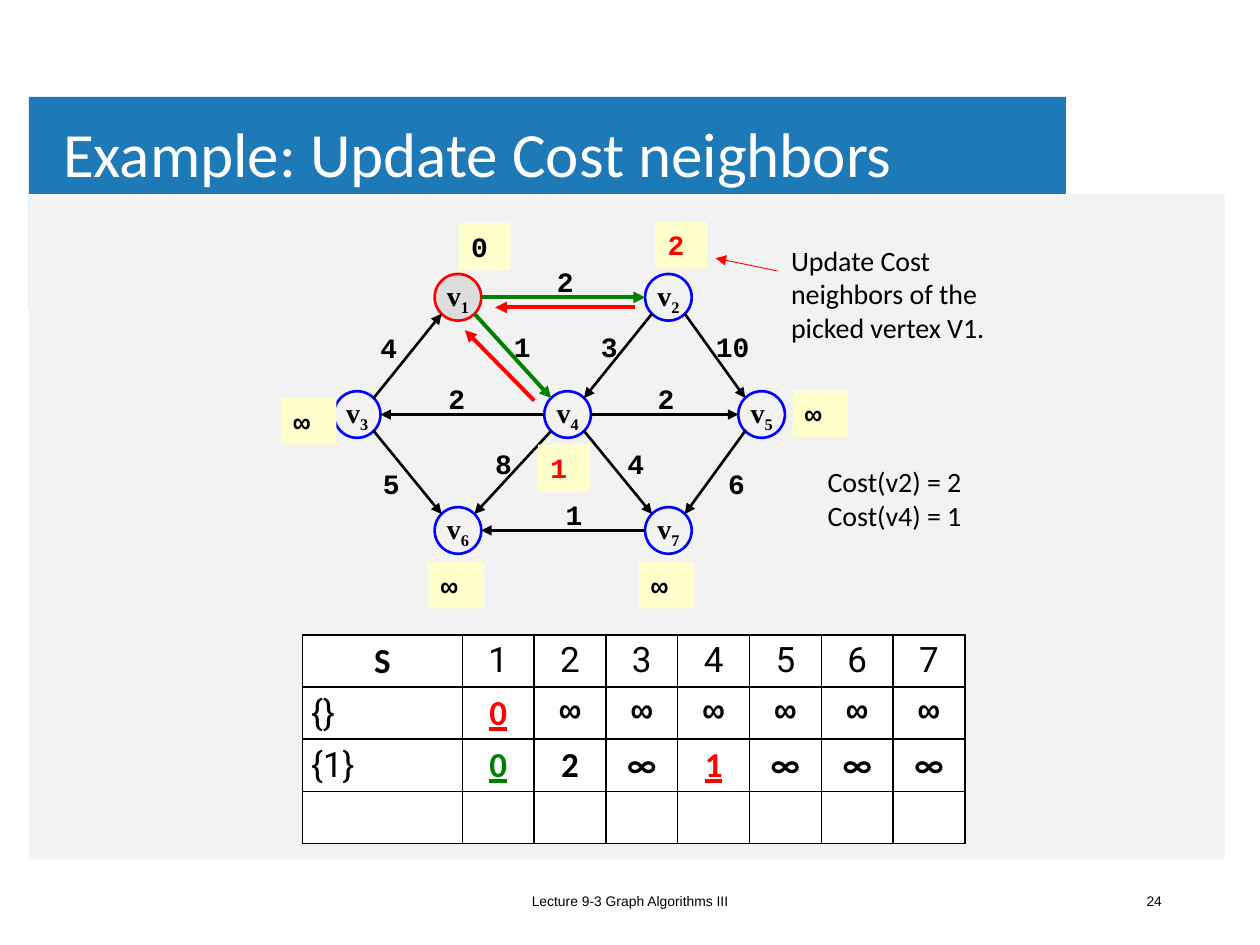
import pptx
import pptx.util
import pptx.dml.color
import pptx.enum.shapes
import pptx.enum.text
import pptx.oxml
import pptx.oxml.ns
from pptx.util import Inches

RGBColor = pptx.dml.color.RGBColor
BLACK = RGBColor(0x00, 0x00, 0x00)
WHITE = RGBColor(0xFF, 0xFF, 0xFF)
RED = RGBColor(0xFF, 0x00, 0x00)
GREEN = RGBColor(0x00, 0x80, 0x00)
BLUE = RGBColor(0x00, 0x00, 0xFF)
BANNER_BLUE = RGBColor(0x1E, 0x7A, 0xB6)
PANEL_GREY = RGBColor(0xF2, 0xF2, 0xF2)
PICKED_GREY = RGBColor(0xDD, 0xDD, 0xDD)
COST_YELLOW = RGBColor(0xFF, 0xFF, 0xCC)

MSO_SHAPE = pptx.enum.shapes.MSO_SHAPE
ANCHOR = pptx.enum.text.MSO_ANCHOR
ALIGN = pptx.enum.text.PP_ALIGN
LEFT, CENTER, RIGHT = ALIGN.LEFT, ALIGN.CENTER, ALIGN.RIGHT
NS = pptx.oxml.ns.nsdecls("a")

prs = pptx.Presentation()
prs.slide_width, prs.slide_height = Inches(10), Inches(7.5)
slide = prs.slides.add_slide(prs.slide_layouts[5])
shapes = slide.shapes


def write(frame, text, font, size, color=BLACK, bold=False, align=LEFT, anchor=ANCHOR.TOP):
    """Fill a text frame; each line of the text is a paragraph."""
    frame.word_wrap = True
    frame.vertical_anchor = anchor
    frame.text = text
    for paragraph in frame.paragraphs:
        paragraph.alignment = align
        paragraph.font.name = font
        paragraph.font.size = pptx.util.Pt(size)
        paragraph.font.bold = bold
        paragraph.font.color.rgb = color


def add_arrow(x1, y1, x2, y2, color, width):
    """Straight line with an arrowhead at its end."""
    arrow = shapes.add_connector(pptx.enum.shapes.MSO_CONNECTOR.STRAIGHT,
                                 Inches(x1), Inches(y1), Inches(x2), Inches(y2))
    arrow.line.color.rgb = color
    arrow.line.width = pptx.util.Pt(width)
    arrow.line._get_or_add_ln().append(
        pptx.oxml.parse_xml(f'<a:tailEnd {NS} type="triangle"/>'))
    arrow._element.spPr.append(pptx.oxml.parse_xml(f"<a:effectLst {NS}/>"))


# Title, with the banner and the content panel behind it
title = shapes.title
title.left, title.top, title.width, title.height = map(Inches, (0.43, 0.76, 8.03, 0.98))
title_frame = title.text_frame
write(title_frame, "Example: Update Cost neighbors", "Calibri", 36, WHITE, anchor=ANCHOR.MIDDLE)
title_frame.auto_size = pptx.enum.text.MSO_AUTO_SIZE.NONE
title_frame.margin_left = title_frame.margin_right = Inches(0.07)
title_frame.margin_top = title_frame.margin_bottom = Inches(0.04)
title_frame.paragraphs[0].line_spacing = 0.9

for box, color in [((0.23, 0.77, 8.23, 1.67), BANNER_BLUE),
                   ((0.23, 1.54, 9.49, 5.28), PANEL_GREY)]:
    panel = shapes.add_shape(MSO_SHAPE.RECTANGLE, *map(Inches, box))
    panel.shadow.inherit = False
    panel.fill.solid()
    panel.fill.fore_color.rgb = color
    panel.line.fill.background()
    title._element.addprevious(panel._element)

# Footer and slide number
for left, width, text, align in [(3.31, 3.38, "Lecture 9-3 Graph Algorithms III", CENTER),
                                 (7.07, 2.25, "24", RIGHT)]:
    footer = shapes.add_textbox(Inches(left), Inches(6.95), Inches(width), Inches(0.4))
    write(footer.text_frame, text, "Arial", 7.9, align=align, anchor=ANCHOR.MIDDLE)

# Graph vertices, by centre
DIAMETER = 0.37
vertices = {1: (3.635, 2.36), 2: (5.305, 2.36), 3: (2.835, 3.29), 4: (4.505, 3.29),
            5: (6.045, 3.29), 6: (3.635, 4.21), 7: (5.305, 4.21)}
for number, (x, y) in vertices.items():
    vertex = shapes.add_shape(MSO_SHAPE.OVAL, Inches(x - DIAMETER / 2), Inches(y - DIAMETER / 2),
                              Inches(DIAMETER), Inches(DIAMETER))
    vertex.shadow.inherit = False
    if number == 1:
        vertex.fill.solid()
        vertex.fill.fore_color.rgb = PICKED_GREY
    else:
        vertex.fill.background()
    vertex.line.color.rgb = RED if number == 1 else BLUE
    vertex.line.width = pptx.util.Pt(1.5)
    write(vertex.text_frame, "v", "Times New Roman", 16, bold=True,
          align=CENTER, anchor=ANCHOR.MIDDLE)
    vertex.text_frame.word_wrap = False
    subscript = vertex.text_frame.paragraphs[0].add_run()
    subscript.text = str(number)
    subscript.font._element.set("baseline", "-25000")

# Edges: start, end, weight, left and top of the weight
edges = [(1, 2, 2, 4.29, 2.05), (1, 4, 1, 3.95, 2.56), (2, 4, 3, 4.64, 2.56),
         (2, 5, 10, 5.55, 2.56), (3, 1, 4, 2.89, 2.57), (3, 6, 5, 2.91, 3.65),
         (4, 3, 2, 3.43, 2.98), (4, 5, 2, 5.09, 2.98), (4, 6, 8, 3.8, 3.49),
         (4, 7, 4, 4.85, 3.49), (5, 7, 6, 5.65, 3.65), (7, 6, 1, 4.36, 3.9)]
for start, end, weight, left, top in edges:
    (x1, y1), (x2, y2) = vertices[start], vertices[end]
    # Level edges touch the side of a circle, the others its 45-degree point
    dx, dy = (DIAMETER / 2, 0) if y1 == y2 else (0.13, 0.13)
    dx = dx if x2 > x1 else -dx
    dy = dy if y2 > y1 else -dy
    color, line_width = (GREEN, 2.25) if start == 1 else (BLACK, 1.5)
    add_arrow(x1 + dx, y1 + dy, x2 - dx, y2 - dy, color, line_width)
    label = shapes.add_textbox(Inches(left), Inches(top),
                               Inches(0.53 if weight > 9 else 0.39), Inches(0.37))
    write(label.text_frame, str(weight), "Courier New", 16, bold=True,
          align=CENTER, anchor=ANCHOR.MIDDLE)

# Cost of each vertex
for left, top, cost, color in [(3.64, 1.77, "0", BLACK), (5.2, 1.76, "2", RED),
                               (2.23, 3.16, "∞", BLACK), (4.27, 3.53, "1", RED),
                               (6.29, 3.1, "∞", BLACK), (3.4, 4.46, "∞", BLACK),
                               (5.07, 4.46, "∞", BLACK)]:
    cost_box = shapes.add_textbox(Inches(left), Inches(top),
                                  Inches(0.44 if cost == "∞" else 0.41), Inches(0.37))
    cost_box.fill.solid()
    cost_box.fill.fore_color.rgb = COST_YELLOW
    write(cost_box.text_frame, cost, "Courier New", 16, color, bold=True)

# Back pointers and the pointer from the note
add_arrow(4.24, 3.18, 3.69, 2.62, RED, 2.25)
add_arrow(5.04, 2.44, 3.93, 2.44, RED, 2.25)
add_arrow(6.17, 2.15, 5.68, 2.05, RED, 0.5)

# Notes beside the graph
for box, text in [((6.18, 1.88, 2.24, 0.91), "Update Cost neighbors of the picked vertex V1."),
                  ((6.47, 3.64, 1.64, 0.64), "Cost(v2) = 2\nCost(v4) = 1")]:
    remark = shapes.add_textbox(*map(Inches, box))
    write(remark.text_frame, text, "Calibri", 16)

# Cost table
rows = [["S", "1", "2", "3", "4", "5", "6", "7"],
        ["{}", "0"] + ["∞"] * 6,
        ["{1}", "0", "2", "∞", "1", "∞", "∞", "∞"],
        [""] * 8]
marked = {(1, 1): RED, (2, 1): GREEN, (2, 4): RED}
cost_table = shapes.add_table(4, 8, Inches(2.4), Inches(5.04), Inches(5.26), Inches(1.64)).table
for c, column in enumerate(cost_table.columns):
    column.width = Inches(0.57 if c else 1.27)
for r, values in enumerate(rows):
    cost_table.rows[r].height = Inches(0.41)
    for c, value in enumerate(values):
        cell = cost_table.cell(r, c)
        for side in ("lnL", "lnR", "lnT", "lnB"):
            cell._tc.get_or_add_tcPr().append(pptx.oxml.parse_xml(
                f'<a:{side} {NS} w="12700"><a:solidFill><a:srgbClr val="{BLACK}"/>'
                f"</a:solidFill></a:{side}>"))
        cell.fill.solid()
        cell.fill.fore_color.rgb = WHITE
        cell.margin_left = cell.margin_right = Inches(0.07)
        cell.margin_top = cell.margin_bottom = Inches(0.04)
        cell.vertical_anchor = ANCHOR.MIDDLE if r else ANCHOR.TOP
        cell.text = value
        entry = cell.text_frame.paragraphs[0]
        entry.alignment = LEFT if r and c == 0 else CENTER
        plain = (r == 0) != (c == 0)
        entry.font.name = ("Roboto" if plain else
                           "Courier New" if r == 1 and value == "∞" else "Calibri")
        entry.font.size = pptx.util.Pt(20)
        entry.font.bold = not plain
        entry.font.underline = (r, c) in marked
        entry.font.color.rgb = marked.get((r, c), BLACK)

prs.save("out.pptx")
